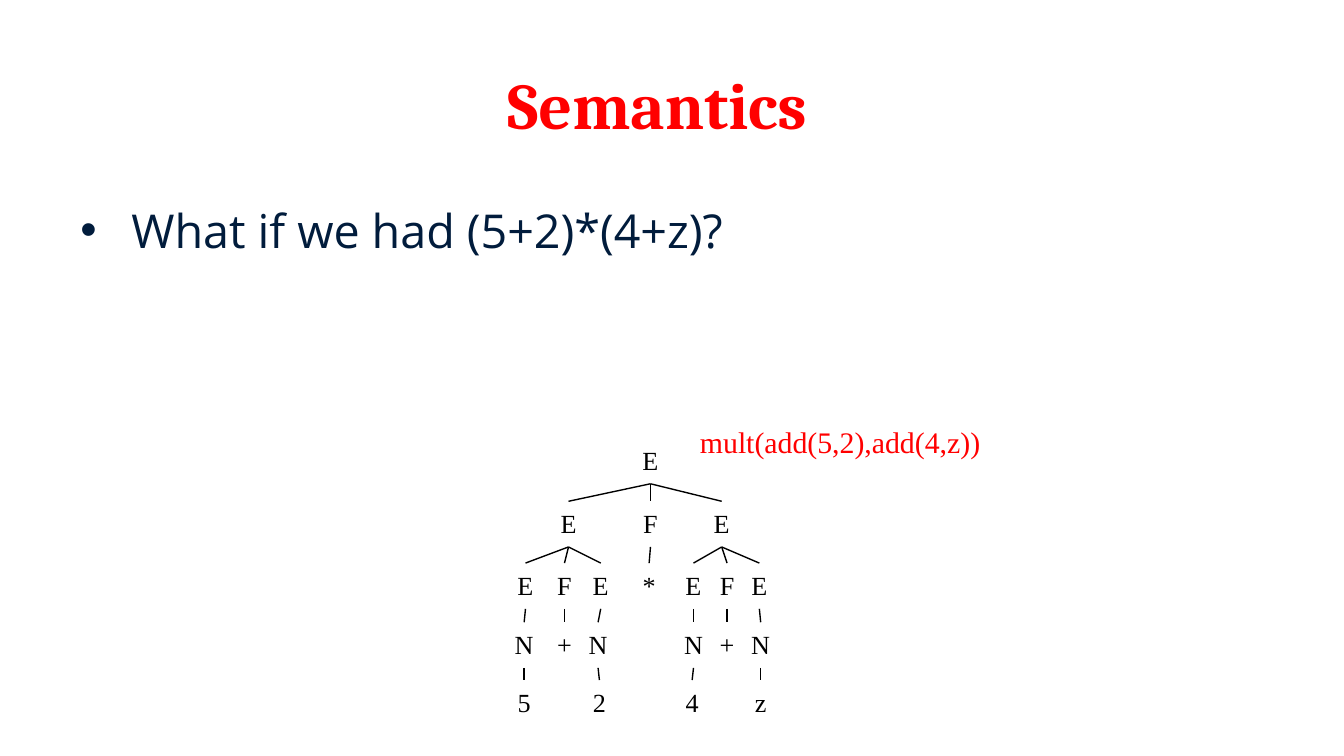
from dataclasses import dataclass

from lxml import etree
from pptx import Presentation
from pptx.dml.color import RGBColor
from pptx.enum import shapes, text
from pptx.oxml import ns
from pptx.util import Inches, Pt


@dataclass(frozen=True)
class Theme:
    red: str = "FF0000"
    navy: str = "011C3C"
    black: str = "000000"
    head: str = "Cambria"
    body: str = "Open Sans"
    serif: str = "Times New Roman"
    title: int = 35
    point: int = 25
    call: int = 16
    node: int = 14
    line: float = 0.75


THEME = Theme()
LEVELS = (3.26, 3.73, 4.19, 4.63, 5.06)
HIGH = 0.34
WIDTHS = {"E": 0.32, "N": 0.34, "F": 0.31, "+": 0.31, "z": 0.29}

TREE = ("E", 4.84, [
    ("E", 4.23, [
        ("E", 3.91, [("N", 3.9, [("5", 3.9, [])])]),
        ("F", 4.2, [("+", 4.2, [])]),
        ("E", 4.47, [("N", 4.45, [("2", 4.46, [])])]),
    ]),
    ("F", 4.84, [("*", 4.83, [])]),
    ("E", 5.37, [
        ("E", 5.16, [("N", 5.16, [("4", 5.15, [])])]),
        ("F", 5.41, [("+", 5.41, [])]),
        ("E", 5.65, [("N", 5.66, [("z", 5.66, [])])]),
    ]),
])


def add_text(parent, words, box, font, size, color, wrap=False):
    shape = parent.add_textbox(*map(Inches, box))
    frame = shape.text_frame
    frame.word_wrap = wrap
    para = frame.paragraphs[0]
    para.text = words
    para.font.name = font
    para.font.size = Pt(size)
    para.font.color.rgb = RGBColor.from_string(color)
    return para


def add_title(slide, words):
    para = add_text(slide.shapes, words, (0.28, 0.43, 9.22, 0.77),
                    THEME.head, THEME.title, THEME.red, True)
    para.alignment = text.PP_ALIGN.CENTER
    para.font.bold = True


def add_point(slide, words):
    para = add_text(slide.shapes, words, (0.5, 1.45, 9, 3.22),
                    THEME.body, THEME.point, THEME.navy, True)
    props = para._p.get_or_add_pPr()
    props.set("marL", str(Inches(0.38)))
    props.set("indent", str(-Inches(0.38)))
    font = etree.Element(ns.qn("a:buFont"), typeface="Arial")
    mark = etree.Element(ns.qn("a:buChar"), char="•")
    props.insert(0, font)
    props.insert(1, mark)


def add_link(parent, start, end):
    link = parent.add_connector(shapes.MSO_CONNECTOR.STRAIGHT,
                                *map(Inches, start + end))
    link.line.width = Pt(THEME.line)
    link.line.color.rgb = RGBColor.from_string(THEME.black)
    etree.SubElement(link._element.spPr, ns.qn("a:effectLst"))


def add_node(parent, node, depth=0):
    label, x, kids = node
    top = LEVELS[depth]
    wide = WIDTHS.get(label, 0.3)
    para = add_text(parent, label, (x - wide / 2, top, wide, HIGH),
                    THEME.serif, THEME.node, THEME.black)
    para.alignment = text.PP_ALIGN.CENTER
    for kid in kids:
        add_link(parent, (x, top + HIGH), (kid[1], LEVELS[depth + 1]))
        add_node(parent, kid, depth + 1)


def main():
    deck = Presentation()
    deck.slide_width = Inches(10)
    deck.slide_height = deck.slide_width * 9 // 16
    slide = deck.slides.add_slide(deck.slide_layouts[6])
    add_title(slide, "Semantics")
    add_point(slide, "What if we had (5+2)*(4+z)?")
    group = slide.shapes.add_group_shape()
    add_node(group.shapes, TREE)
    add_text(slide.shapes, "mult(add(5,2),add(4,z))", (5.11, 3.1, 2.32, 0.37),
             THEME.serif, THEME.call, THEME.red)
    deck.save("out.pptx")


if __name__ == "__main__":
    main()
